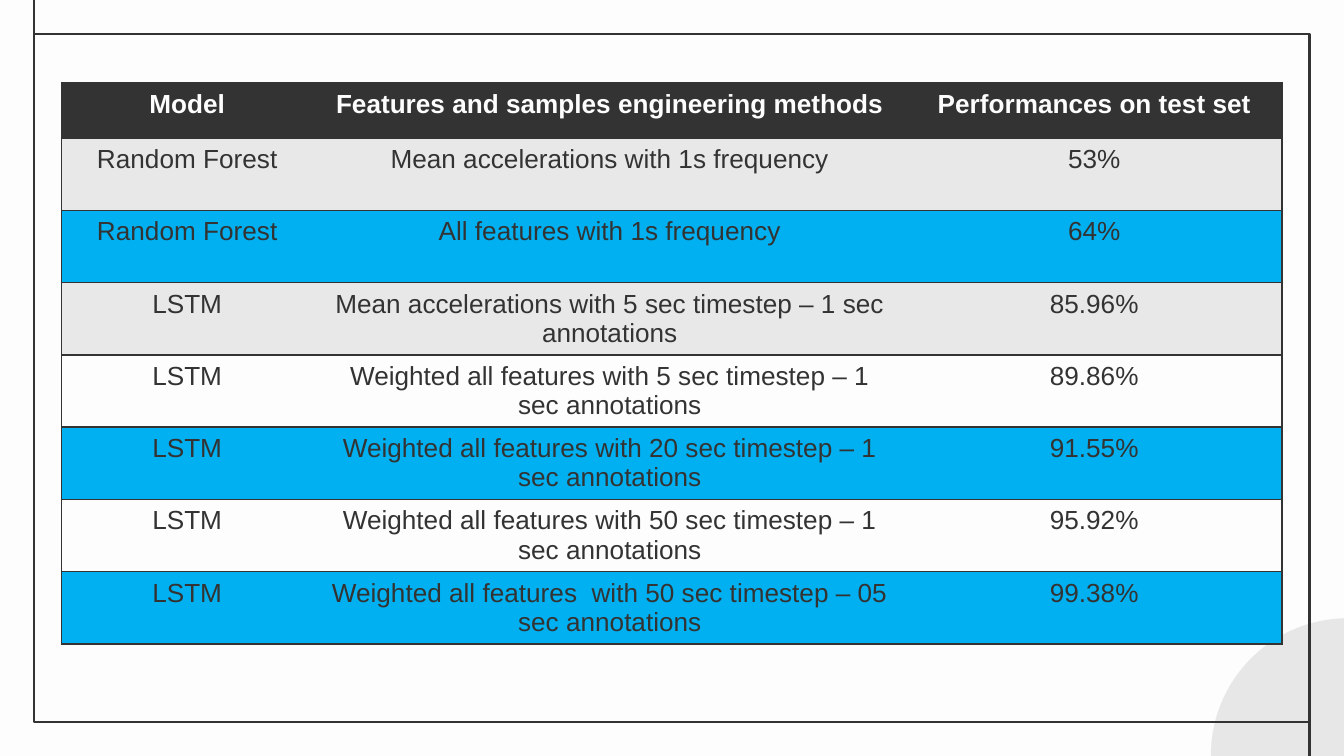
from lxml.etree import SubElement
from pptx import Presentation
from pptx.dml.color import RGBColor
from pptx.enum.shapes import MSO_CONNECTOR as Connector, MSO_SHAPE as Shape
from pptx.enum.text import PP_ALIGN as Align
from pptx.oxml.ns import qn
from pptx.util import Pt

DARK = RGBColor(0x33, 0x33, 0x33)
PAPER = RGBColor(0xFD, 0xFD, 0xFD)
GREY = RGBColor(0xE8, 0xE8, 0xE8)
DISC_GREY = RGBColor(0xE8, 0xE7, 0xE7)
BLUE = RGBColor(0x00, 0xB0, 0xF0)

SLIDE_WIDTH, SLIDE_HEIGHT = 720, 405
FRAME_LEFT, FRAME_TOP, FRAME_RIGHT, FRAME_BOTTOM = 18.2, 18.2, 701.5, 386.8
TABLE_LEFT, TABLE_TOP = 33, 44.6
COLUMN_WIDTHS = (134.6, 318.2, 200.9)
HEADER_HEIGHT, ROW_HEIGHT = 29.5, 38.7

RESULTS = (
    (DARK, "Model", "Features and samples engineering methods", "Performances on test set"),
    (GREY, "Random Forest", "Mean accelerations with 1s frequency", "53%"),
    (BLUE, "Random Forest", "All features with 1s frequency", "64%"),
    (GREY, "LSTM", "Mean accelerations with 5 sec timestep – 1 sec annotations", "85.96%"),
    (PAPER, "LSTM", "Weighted all features with 5 sec timestep – 1 sec annotations", "89.86%"),
    (BLUE, "LSTM", "Weighted all features with 20 sec timestep – 1 sec annotations", "91.55%"),
    (PAPER, "LSTM", "Weighted all features with 50 sec timestep – 1 sec annotations", "95.92%"),
    (BLUE, "LSTM", "Weighted all features  with 50 sec timestep – 05 sec annotations", "99.38%"),
)


def add_disc(slide, left, top, diameter):
    """Add the pale disc in the corner."""
    disc = slide.shapes.add_shape(Shape.OVAL, Pt(left), Pt(top), Pt(diameter), Pt(diameter))
    disc.shadow.inherit = False
    disc.fill.solid()
    disc.fill.fore_color.rgb = DISC_GREY
    disc.line.fill.background()


def add_frame(slide):
    """Add the outlined rectangle around the content."""
    frame = slide.shapes.add_shape(
        Shape.RECTANGLE, Pt(FRAME_LEFT), Pt(FRAME_TOP),
        Pt(FRAME_RIGHT - FRAME_LEFT), Pt(FRAME_BOTTOM - FRAME_TOP))
    frame.shadow.inherit = False
    frame.fill.background()
    frame.line.color.rgb = DARK
    frame.line.width = Pt(1.5)


def add_frame_tail(slide, x, start, end):
    """Extend a frame side vertically to the slide edge."""
    tail = slide.shapes.add_connector(Connector.STRAIGHT, Pt(x), Pt(start), Pt(x), Pt(end))
    tail.line.color.rgb = DARK
    tail.line.width = Pt(1.5)
    SubElement(tail.element.spPr, qn("a:effectLst"))


def set_borders(cell, visible_sides):
    """Draw the named sides of a cell and hide the others."""
    properties = cell._tc.get_or_add_tcPr()
    for side in "LRTB":
        border = SubElement(properties, qn(f"a:ln{side}"), w=str(Pt(1)))
        if side in visible_sides:
            fill = SubElement(border, qn("a:solidFill"))
            SubElement(fill, qn("a:srgbClr"), val=str(DARK))
        else:
            SubElement(border, qn("a:noFill"))


def fill_cell(cell, wording, background, is_header, visible_sides):
    """Write and style one table cell."""
    set_borders(cell, visible_sides)
    cell.fill.solid()
    cell.fill.fore_color.rgb = background
    cell.text = wording
    paragraph = cell.text_frame.paragraphs[0]
    paragraph.alignment = Align.CENTER
    paragraph.font.name = "Arial"
    paragraph.font.size = Pt(14)
    paragraph.font.bold = is_header
    paragraph.font.color.rgb = PAPER if is_header else DARK


def add_results_table(slide):
    """Add the table of models and their test performances."""
    heights = [HEADER_HEIGHT] + [ROW_HEIGHT] * (len(RESULTS) - 1)
    table = slide.shapes.add_table(
        len(RESULTS), len(COLUMN_WIDTHS), Pt(TABLE_LEFT), Pt(TABLE_TOP),
        Pt(sum(COLUMN_WIDTHS)), Pt(sum(heights))).table
    for column, width in zip(table.columns, COLUMN_WIDTHS):
        column.width = Pt(width)
    for row_index, (background, *wordings) in enumerate(RESULTS):
        table.rows[row_index].height = Pt(heights[row_index])
        for column_index, (wording, sides) in enumerate(zip(wordings, ("LTB", "TB", "RTB"))):
            fill_cell(table.cell(row_index, column_index), wording, background,
                      row_index == 0, sides)


def main():
    """Build and save the slide."""
    deck = Presentation()
    deck.slide_width, deck.slide_height = Pt(SLIDE_WIDTH), Pt(SLIDE_HEIGHT)
    slide = deck.slides.add_slide(deck.slide_layouts[6])
    slide.background.fill.solid()
    slide.background.fill.fore_color.rgb = PAPER
    add_disc(slide, 648.7, 331.2, 146.9)
    add_frame(slide)
    add_frame_tail(slide, FRAME_LEFT, FRAME_TOP, 0)
    add_frame_tail(slide, FRAME_RIGHT, FRAME_BOTTOM, SLIDE_HEIGHT)
    add_results_table(slide)
    deck.save("out.pptx")


if __name__ == "__main__":
    main()
